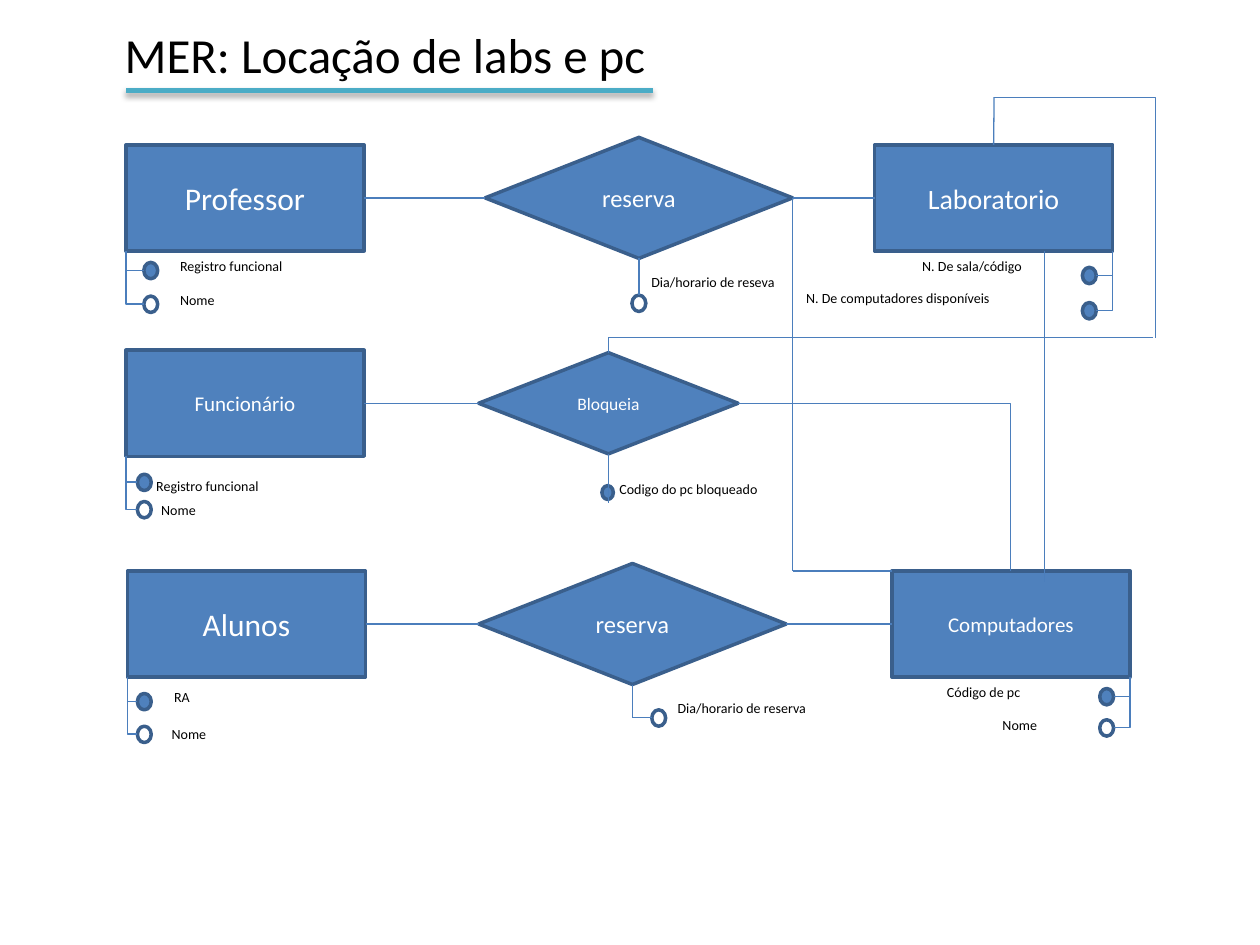
from pptx import Presentation, util as u
from pptx.dml.color import RGBColor
from pptx.enum import shapes as es, text as et
from pptx.oxml import parse_xml
from pptx.oxml.ns import nsdecls

BLUE, EDGE, LINK, TEAL = "4F81BD", "3A5F8C", "4B7EBC", "4BACC6"
WHITE, BLACK = "FFFFFF", "000000"
KIND, JOIN = es.MSO_SHAPE, es.MSO_CONNECTOR
MID = dict(vertical_anchor=et.MSO_ANCHOR.MIDDLE, word_wrap=True)
TOP = dict(vertical_anchor=et.MSO_ANCHOR.TOP, word_wrap=True)
SHADE = ('<a:outerShdw blurRad="40000" dist="23000" dir="5400000" rotWithShape="0">'
         '<a:srgbClr val="000000"><a:alpha val="35000"/></a:srgbClr></a:outerShdw>')


def cm(*vals):
    return [u.Cm(v) for v in vals]


def paint(part, color):
    if hasattr(part, "solid"):
        part.solid()
        part.fore_color.rgb = RGBColor.from_string(color)
    else:
        part.color.rgb = RGBColor.from_string(color)


def setall(obj, vals):
    for key, val in vals.items():
        setattr(obj, key, val)


def write(shape, words, size, color, align, frame):
    body = shape.text_frame
    setall(body, frame)
    para = body.paragraphs[0]
    para.alignment = align
    run = para.add_run()
    run.text = words
    setall(run.font, dict(name="Calibri", size=u.Pt(size)))
    paint(run.font, color)


def block(slide, kind, box, fill):
    shape = slide.shapes.add_shape(kind, *cm(*box))
    shape.shadow.inherit = False
    paint(shape.fill, fill)
    paint(shape.line, EDGE)
    shape.line.width = u.Pt(2)
    return shape


def named(slide, kind, box, name, size):
    shape = block(slide, kind, box, BLUE)
    write(shape, name, size, WHITE, et.PP_ALIGN.CENTER, MID)
    return shape


def label(slide, box, words):
    shape = slide.shapes.add_textbox(*cm(*box))
    write(shape, words, 8, BLACK, et.PP_ALIGN.LEFT, TOP)


def link(slide, start, end, bent=False, color=LINK, width=0.75, effect=""):
    kind = JOIN.ELBOW if bent else JOIN.STRAIGHT
    line = slide.shapes.add_connector(kind, *cm(*start, *end))
    props = line._element.spPr
    if bent:
        props.prstGeom.set("prst", "bentConnector2")
    paint(line.line, color)
    line.line.width = u.Pt(width)
    props.append(parse_xml(f'<a:effectLst {nsdecls("a")}>{effect}</a:effectLst>'))
    return line


def bridge(slide, left, right):
    line = link(slide, (0, 0), (1, 1))
    line.begin_connect(left, 3)
    line.end_connect(right, 1)


def header(slide, box, words):
    title = slide.shapes.title
    setall(title, dict(zip(("left", "top", "width", "height"), cm(*box))))
    write(title, words, 28, BLACK, et.PP_ALIGN.LEFT, TOP)
    x, y, wide, high = box
    base = y + high + 0.02
    link(slide, (x + 0.28, base), (x + 10.9, base), color=TEAL, width=3, effect=SHADE)


def entity(slide, box, name, size, dots, notes):
    x, y, wide, high = box
    base = y + high
    dx, rows = dots
    right = dx > wide / 2
    corner = x + wide if right else x
    side = x + dx + (0.28 if right else 0)
    shape = named(slide, KIND.RECTANGLE, box, name, size)
    for row, (dy, fill) in enumerate(rows):
        block(slide, KIND.OVAL, (x + dx, base + dy, 0.28, 0.33), fill)
        mid = base + dy + 0.16
        if row == 0:
            link(slide, (side, mid), (corner, mid))
        else:
            link(slide, (side, mid), (corner, base), bent=True)
    for nx, ny, wide, words in notes:
        label(slide, (x + nx, base + ny, wide, 0.91), words)
    return shape


def relation(slide, box, name, size, dot, note):
    x, y, wide, high = box
    mid, base = x + wide / 2, y + high
    dx, dy, dw, dh, fill, reach = dot
    shape = named(slide, KIND.FLOWCHART_DECISION, box, name, size)
    block(slide, KIND.OVAL, (mid + dx, base + dy, dw, dh), fill)
    line = link(slide, (mid, base), (mid, base + reach))
    line.begin_connect(shape, 2)
    if dx > 0:
        link(slide, (mid, base + reach), (mid + dx, base + reach))
    nx, ny, nw, words = note
    label(slide, (mid + nx, base + ny, nw, 1.2), words)
    return shape


def routes(slide, lab, pc, book, lock):
    link(slide, (20.04, 2.92), (20.04, 1.96)).begin_connect(lab, 0)
    link(slide, (20.04, 1.96), (23.29, 6.81), bent=True)
    link(slide, (23.25, 6.81), (12.27, 7.11), bent=True)
    link(slide, (14.88, 8.13), (20.37, 11.51), bent=True)
    link(slide, (15.98, 3.99), (15.98, 11.51)).begin_connect(book, 3)
    link(slide, (17.98, 11.51), (15.98, 11.51))
    link(slide, (21.06, 5.06), (21.06, 11.73))


def main():
    deck = Presentation()
    deck.slide_width, deck.slide_height = cm(25.4, 19.05)
    slide = deck.slides.add_slide(deck.slide_layouts[5])
    wide, high = 4.8, 2.14
    header(slide, (2.26, 0.36, 11.43, 1.45), "MER: Locação de labs e pc")
    prof = entity(slide, (2.54, 2.92, wide, high), "Professor", 18,
                  (0.36, [(0.23, BLUE), (0.91, WHITE)]),
                  [(0.84, 0, 4.6, "Registro funcional"), (0.84, 0.69, 4.6, "Nome")])
    lab = entity(slide, (17.63, 2.92, wide, high), "Laboratorio", 16,
                 (4.19, [(0.33, BLUE), (1.04, BLUE)]),
                 [(0.71, 0, 3.63, "N. De sala/código"),
                  (-1.63, 0.66, 5.97, "N. De computadores disponíveis")])
    staff = entity(slide, (2.54, 7.06, wide, high), "Funcionário", 12,
                   (0.23, [(0.36, BLUE), (0.91, WHITE)]),
                   [(0.36, 0.3, 4.6, "Registro funcional"), (0.46, 0.79, 4.6, "Nome")])
    pupil = entity(slide, (2.57, 11.51, wide, high), "Alunos", 18,
                   (0.2, [(0.33, BLUE), (0.99, WHITE)]),
                   [(0.69, 0.1, 1.22, "RA"), (0.64, 0.86, 2.11, "Nome")])
    pc = entity(slide, (17.98, 11.51, wide, high), "Computadores", 12,
                (4.19, [(0.23, BLUE), (0.86, WHITE)]),
                [(0.86, 0, 3.07, "Código de pc"), (1.98, 0.66, 2.21, "Nome")])
    book = relation(slide, (9.78, 2.77, 6.2, 2.44), "reserva", 14,
                    (-0.14, 0.74, 0.28, 0.33, WHITE, 0.74),
                    (0, 0.18, 3.63, "Dia/horario de reseva"))
    lock = relation(slide, (9.65, 7.11, 5.23, 2.04), "Bloqueia", 10,
                    (-0.13, 0.64, 0.23, 0.28, BLUE, 0.99),
                    (-0.03, 0.41, 3.33, "Codigo do pc bloqueado"))
    loan = relation(slide, (9.65, 11.36, 6.2, 2.44), "reserva", 14,
                    (0.39, 0.51, 0.28, 0.33, WHITE, 0.67),
                    (0.66, 0.18, 3.1, "Dia/horario de reserva"))
    for pair in ((prof, book), (book, lab), (staff, lock), (pupil, loan), (loan, pc)):
        bridge(slide, *pair)
    routes(slide, lab, pc, book, lock)
    deck.save("out.pptx")


if __name__ == "__main__":
    main()
